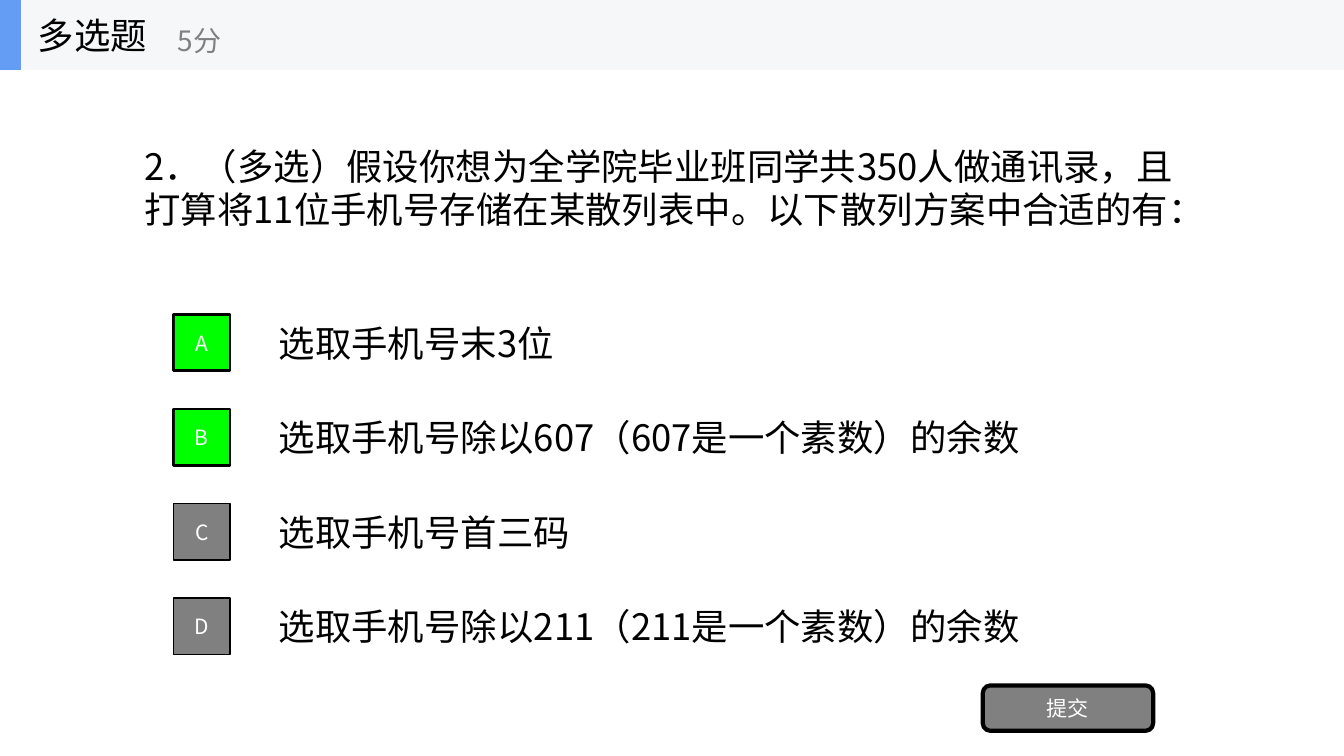
from lxml.etree import SubElement
from pptx import Presentation
from pptx.dml.color import RGBColor
from pptx.enum.shapes import MSO_SHAPE
from pptx.enum.text import MSO_ANCHOR, PP_ALIGN
from pptx.oxml.ns import qn
from pptx.util import Pt

QUESTION = "2．（多选）假设你想为全学院毕业班同学共350人做通讯录，且打算将11位手机号存储在某散列表中。以下散列方案中合适的有："
OPTIONS = [
    ("A", "选取手机号末3位", True),
    ("B", "选取手机号除以607（607是一个素数）的余数", True),
    ("C", "选取手机号首三码", False),
    ("D", "选取手机号除以211（211是一个素数）的余数", False),
]
HEADER_BARS = [(960, "F6F7F8"), (15, "639EF4")]
HEADER_TEXTS = [
    ("多选题", (20, 0, 150, 50), 26, "000000"),
    ("5分", (120, 9, 180, 40), 20, "808080"),
]
FONT = "Noto Sans CJK SC"
BLACK, WHITE, GRAY, GREEN = "000000", "FFFFFF", "808080", "00FF00"
HEADER_HEIGHT = 50
OPTION_TOP, OPTION_HEIGHT, OPTION_PITCH = 219.6, 50.4, 67.5
BADGE_LEFT, BADGE_SIZE = 124, 40.3


def color(value):
    return RGBColor.from_string(value)


def write(box, text, size, ink, align=PP_ALIGN.LEFT):
    frame = box.text_frame
    frame.word_wrap = True
    frame.vertical_anchor = MSO_ANCHOR.MIDDLE
    para = frame.paragraphs[0]
    para.alignment = align
    span = para.add_run()
    span.text = text
    for name, value in {"size": Pt(size), "name": FONT}.items():
        setattr(span.font, name, value)
    span.font.color.rgb = color(ink)
    SubElement(span.font._element, qn("a:ea")).set("typeface", FONT)


def add_text(shapes, text, place, size=26, ink=BLACK):
    write(shapes.add_textbox(*map(Pt, place)), text, size, ink)


def add_block(shapes, kind, place, fill, line_width=0):
    block = shapes.add_shape(kind, *map(Pt, place))
    block.shadow.inherit = False
    block.fill.solid()
    block.fill.fore_color.rgb = color(fill)
    if line_width:
        block.line.color.rgb = color(BLACK)
        block.line.width = Pt(line_width)
    else:
        block.line.fill.background()
    return block


def add_button(shapes, kind, text, place, fill, line_width):
    button = add_block(shapes, kind, place, fill, line_width)
    write(button, text, 15, WHITE, PP_ALIGN.CENTER)


def main():
    deck = Presentation()
    deck.slide_width, deck.slide_height = Pt(960), Pt(540)
    page = deck.slides.add_slide(deck.slide_layouts[6])
    shapes = page.shapes

    add_text(shapes, QUESTION, (96, 49.7, 768.2, 168.5))
    for row, (letter, text, correct) in enumerate(OPTIONS):
        top = OPTION_TOP + row * OPTION_PITCH
        badge_top = top + (OPTION_HEIGHT - BADGE_SIZE) / 2
        add_text(shapes, text, (192, top, 672, OPTION_HEIGHT))
        add_button(shapes, MSO_SHAPE.RECTANGLE, letter,
                   (BADGE_LEFT, badge_top, BADGE_SIZE, BADGE_SIZE),
                   GREEN if correct else GRAY, 2 if correct else 1)
    add_button(shapes, MSO_SHAPE.ROUNDED_RECTANGLE, "提交",
               (702, 489.6, 121.7, 32.4), GRAY, 3)

    header = shapes.add_group_shape().shapes
    for width, fill in HEADER_BARS:
        add_block(header, MSO_SHAPE.RECTANGLE, (0, 0, width, HEADER_HEIGHT), fill)
    for text, place, size, ink in HEADER_TEXTS:
        add_text(header, text, place, size, ink)

    deck.save("out.pptx")


if __name__ == "__main__":
    main()
